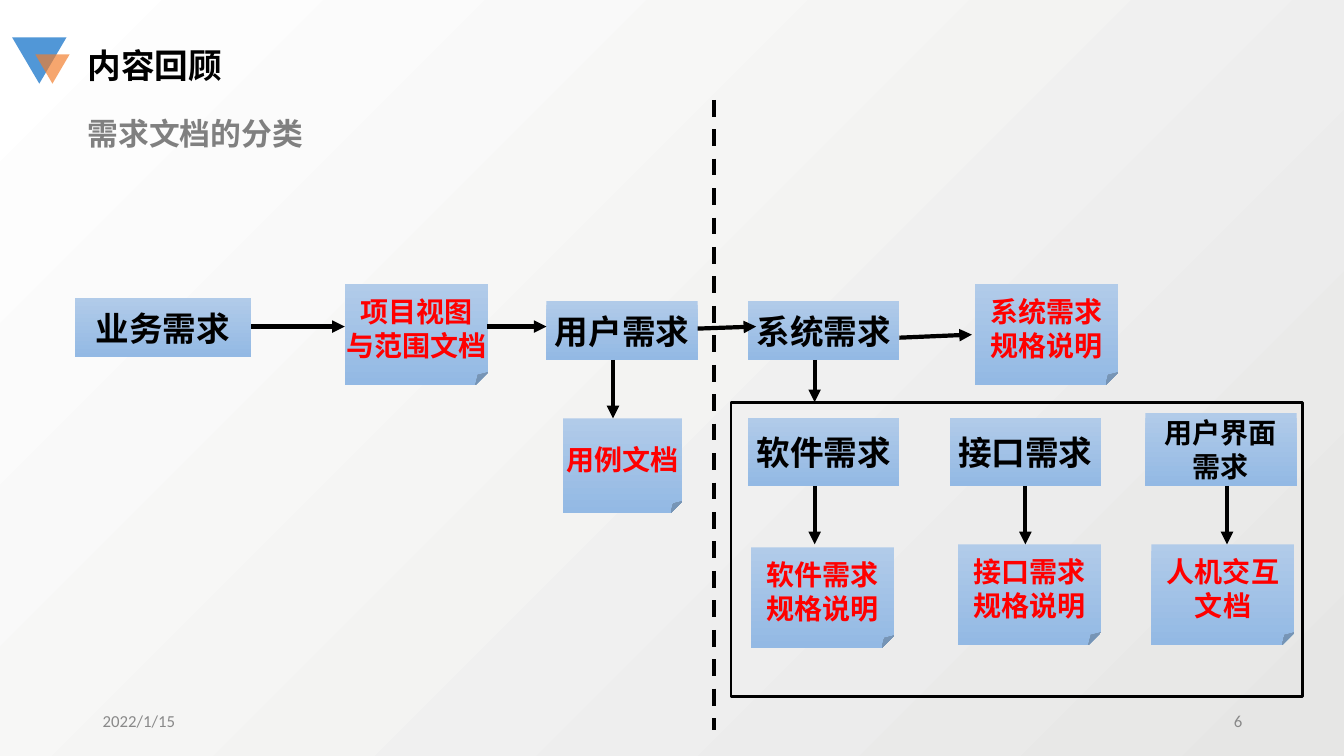
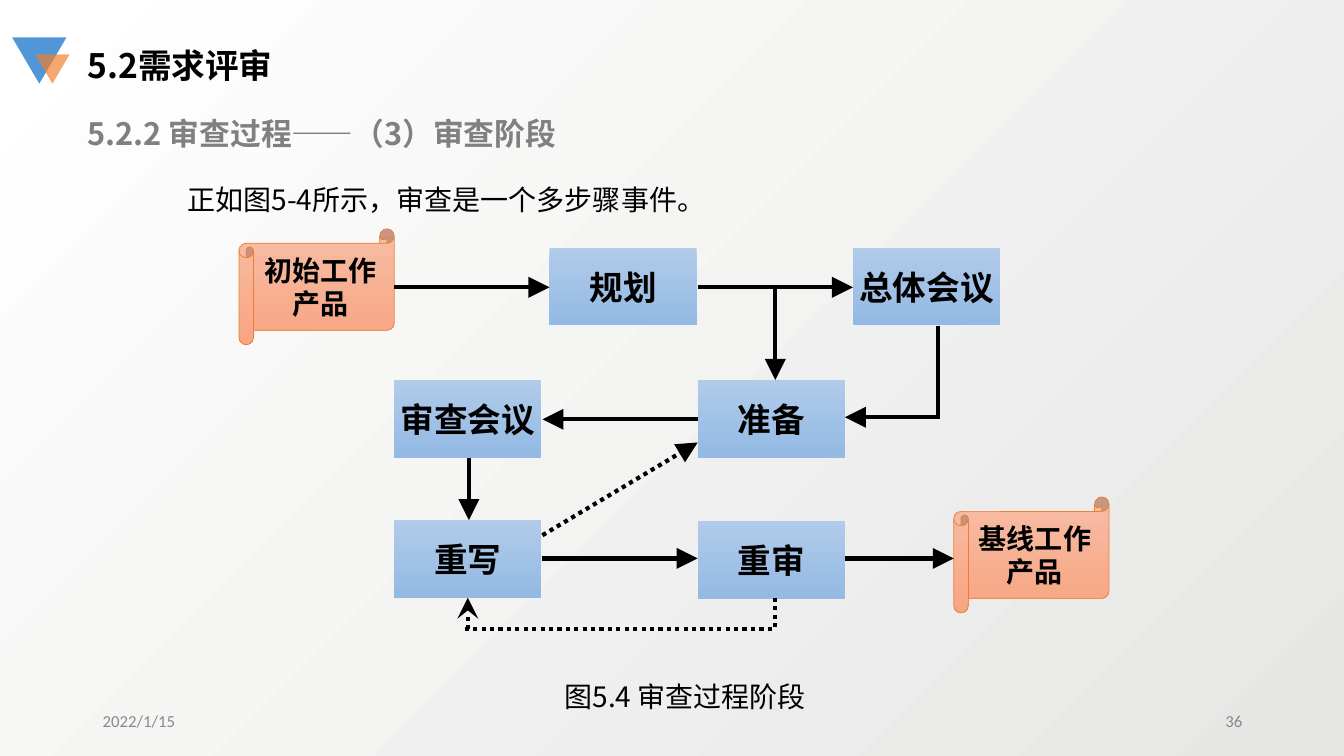
"""Build two requirements-engineering slides: document types and the review process."""
from lxml import etree
from pptx import Presentation
from pptx.dml.color import RGBColor
from pptx.enum.dml import MSO_LINE
from pptx.enum.shapes import MSO_CONNECTOR, MSO_SHAPE
from pptx.enum.text import MSO_ANCHOR, PP_ALIGN
from pptx.oxml.ns import qn
from pptx.util import Inches, Pt

RECT, NOTE = MSO_SHAPE.RECTANGLE, MSO_SHAPE.FOLDED_CORNER
SCROLL, TRIANGLE = MSO_SHAPE.HORIZONTAL_SCROLL, MSO_SHAPE.ISOSCELES_TRIANGLE
STRAIGHT = MSO_CONNECTOR.STRAIGHT
DASH, DOT = MSO_LINE.DASH, MSO_LINE.ROUND_DOT
TOP, MIDDLE = MSO_ANCHOR.TOP, MSO_ANCHOR.MIDDLE
LEFT, CENTER, RIGHT = PP_ALIGN.LEFT, PP_ALIGN.CENTER, PP_ALIGN.RIGHT

CJK, LATIN = "Noto Sans CJK SC", "Calibri"
COLORS = {
    "black": "000000", "red": "FF0000", "subtitle": "808080", "footer": "898989",
    "paper_dark": "E6E6E5", "paper_light": "FFFFFF",
    "blue_top": "B1CBE9", "blue_bottom": "93B9E4",
    "peach_top": "F7BDA5", "peach_bottom": "F8A582", "peach_edge": "ED7D31",
    "logo_blue": "5197D7", "logo_orange": "F37D2A",
}
RGB = {name: RGBColor.from_string(value) for name, value in COLORS.items()}


def add_text(slide, box, text, size, color="black", bold=False, font=CJK,
             align=LEFT, anchor=TOP, kind=None):
    """Add a text box, or a gradient-filled node when a preset kind is given."""
    place = [Inches(value) for value in box]
    if kind is None:
        item = slide.shapes.add_textbox(*place)
    else:
        item = slide.shapes.add_shape(kind, *place)
        item.shadow.inherit = False
        hue = "peach" if kind == SCROLL else "blue"
        item.fill.gradient()
        item.fill.gradient_angle = 270
        for stop, end in zip(item.fill.gradient_stops, ("top", "bottom")):
            stop.color.rgb = RGB[f"{hue}_{end}"]
        if kind == SCROLL:
            item.line.color.rgb = RGB["peach_edge"]
            item.line.width = Pt(0.5)
        else:
            item.line.fill.background()
        if kind == NOTE:
            fold = item.element.spPr.find(qn("a:prstGeom")).find(qn("a:avLst"))
            etree.SubElement(fold, qn("a:gd"), name="adj", fmla="val 12500")
    frame = item.text_frame
    frame.text = text
    frame.word_wrap = kind is None
    frame.vertical_anchor = anchor
    for paragraph in frame.paragraphs:
        paragraph.alignment = align
        for run in paragraph.runs:
            run.font.size, run.font.bold, run.font.name = Pt(size), bold, font
            run.font.color.rgb = RGB[color]
            latin = run._r.get_or_add_rPr().find(qn("a:latin"))
            east_asian = etree.Element(qn("a:ea"), typeface=CJK)
            latin.addnext(east_asian)
    return item


def add_line(slide, ends, head="triangle", head_size="med", dash=None):
    """Add a thick black line that may end in an arrowhead."""
    line = slide.shapes.add_connector(STRAIGHT, *[Inches(value) for value in ends])
    line.line.color.rgb = RGB["black"]
    line.line.width = Pt(3)
    if dash:
        line.line.dash_style = dash
    properties = line.element.spPr
    if head:
        etree.SubElement(properties.find(qn("a:ln")), qn("a:tailEnd"),
                         type=head, w=head_size, len=head_size)
    etree.SubElement(properties, qn("a:effectLst"))


prs = Presentation()
prs.slide_width, prs.slide_height = Inches(13.33), Inches(7.5)

backdrop = prs.slide_master.background.fill
backdrop.gradient()
backdrop.gradient_angle = 135
for stop, shade in zip(backdrop.gradient_stops, ("paper_dark", "paper_light")):
    stop.color.rgb = RGB[shade]

HEADINGS = [
    ("内容回顾", "需求文档的分类", 4.58, "6"),
    ("5.2需求评审", "5.2.2 审查过程——（3）审查阶段", 5.06, "36"),
]
slides = []
for title, subtitle, subtitle_width, number in HEADINGS:
    slide = prs.slides.add_slide(prs.slide_layouts[6])
    slides.append(slide)
    for box, color in [((0.12, 0.37, 0.54, 0.46), "logo_blue"),
                       ((0.35, 0.54, 0.34, 0.29), "logo_orange")]:
        emblem = slide.shapes.add_shape(TRIANGLE, *[Inches(value) for value in box])
        emblem.rotation = 180
        emblem.shadow.inherit = False
        emblem.fill.solid()
        emblem.fill.fore_color.rgb = RGB[color]
        emblem.line.fill.background()
    orange = emblem.element.spPr.find(qn("a:solidFill"))[0]
    etree.SubElement(orange, qn("a:alpha"), val="68000")
    add_text(slide, (0.77, 0.4, 3.35, 0.5), title, 24, bold=True)
    add_text(slide, (0.77, 1.09, subtitle_width, 0.47), subtitle, 22, "subtitle", True)
    for left, text, align in [(0.92, "2022/1/15", LEFT), (9.42, number, RIGHT)]:
        add_text(slide, (left, 6.95, 3, 0.4), text, 12, "footer",
                 font=LATIN, align=align, anchor=MIDDLE)
documents, review = slides

REQUIREMENTS = [
    ("业务需求", 0.74, 2.96, 1.75, 0.58, 24),
    ("用户需求", 5.42, 2.99, 1.5, 0.58, 24),
    ("系统需求", 7.42, 2.99, 1.5, 0.58, 24),
    ("软件需求", 7.42, 4.15, 1.5, 0.67, 24),
    ("接口需求", 9.42, 4.15, 1.5, 0.67, 24),
    ("用户界面\n需求", 11.36, 4.1, 1.5, 0.72, 20),
]
for text, *box, size in REQUIREMENTS:
    add_text(documents, box, text, size, "black", True, LATIN, CENTER, MIDDLE, RECT)

SPECIFICATIONS = [
    ("项目视图\n与范围文档", 3.42, 2.82, 1.42, 1),
    ("用例文档", 5.58, 4.15, 1.19, 0.94),
    ("系统需求\n规格说明", 9.67, 2.82, 1.42, 1),
    ("软件需求\n规格说明", 7.45, 5.43, 1.42, 1),
    ("接口需求\n规格说明", 9.5, 5.4, 1.42, 1),
    ("人机交互\n文档", 11.42, 5.4, 1.42, 1),
]
for text, *box in SPECIFICATIONS:
    add_text(documents, box, text, 20, "red", True, LATIN, CENTER, MIDDLE, NOTE)

system_scope = documents.shapes.add_shape(
    RECT, Inches(7.25), Inches(3.99), Inches(5.67), Inches(2.92))
system_scope.shadow.inherit = False
system_scope.fill.background()
system_scope.line.color.rgb = RGB["black"]
system_scope.line.width = Pt(2)

DERIVATIONS = [
    (2.49, 3.24, 3.42, 3.24), (4.83, 3.24, 5.42, 3.24),
    (8.92, 3.35, 9.64, 3.32), (6.92, 3.26, 7.5, 3.24),
    (6.08, 3.57, 6.08, 4.15), (8.08, 3.57, 8.08, 3.99),
]
DERIVATIONS += [(x, 4.82, x, 5.4) for x in (8.08, 10.17, 12.17)]
for ends in DERIVATIONS:
    add_line(documents, ends)
add_line(documents, (7.08, 0.99, 7.08, 7.24), head=None, dash=DASH)

intro = add_text(review, (1.76, 1.59, 10.31, 0.53),
                 "正如图5-4所示，审查是一个多步骤事件。", 20)
intro.text_frame.paragraphs[0].line_spacing = 1.5
add_text(review, (5.5, 6.69, 2.73, 0.44), "图5.4 审查过程阶段", 20)

STAGES = [
    ("规划", 5.45, 2.46), ("总体会议", 8.46, 2.46),
    ("审查会议", 3.91, 3.77), ("准备", 6.92, 3.77),
    ("重写", 3.91, 5.16), ("重审", 6.92, 5.17),
]
for text, left, top in STAGES:
    add_text(review, (left, top, 1.46, 0.77), text, 24, bold=True,
             align=CENTER, anchor=MIDDLE, kind=RECT)
for text, left, top in [("初始工作\n产品", 2.37, 2.27), ("基线工作\n产品", 9.46, 4.93)]:
    add_text(review, (left, top, 1.54, 1.15), text, 20, bold=True,
             align=CENTER, anchor=MIDDLE, kind=SCROLL)

FLOWS = [
    ((3.91, 2.85, 5.45, 2.85), "triangle", None),
    ((6.92, 2.85, 8.46, 2.85), "triangle", None),
    ((7.69, 2.85, 7.69, 3.77), "triangle", None),
    ((9.3, 3.23, 9.3, 4.16), None, None),
    ((9.3, 4.14, 8.38, 4.14), "triangle", None),
    ((6.92, 4.16, 5.38, 4.16), "triangle", None),
    ((4.65, 4.54, 4.65, 5.16), "triangle", None),
    ((5.38, 5.54, 6.92, 5.54), "triangle", None),
    ((8.38, 5.54, 9.46, 5.54), "triangle", None),
    ((5.38, 5.31, 6.92, 4.39), "triangle", DOT),
    ((7.69, 5.93, 7.69, 6.24), None, DOT),
    ((4.61, 6.24, 7.69, 6.24), None, DOT),
    ((4.64, 6.24, 4.64, 5.93), "stealth", DOT),
]
for ends, head, dash in FLOWS:
    add_line(review, ends, head, "lg", dash)

prs.save("out.pptx")
